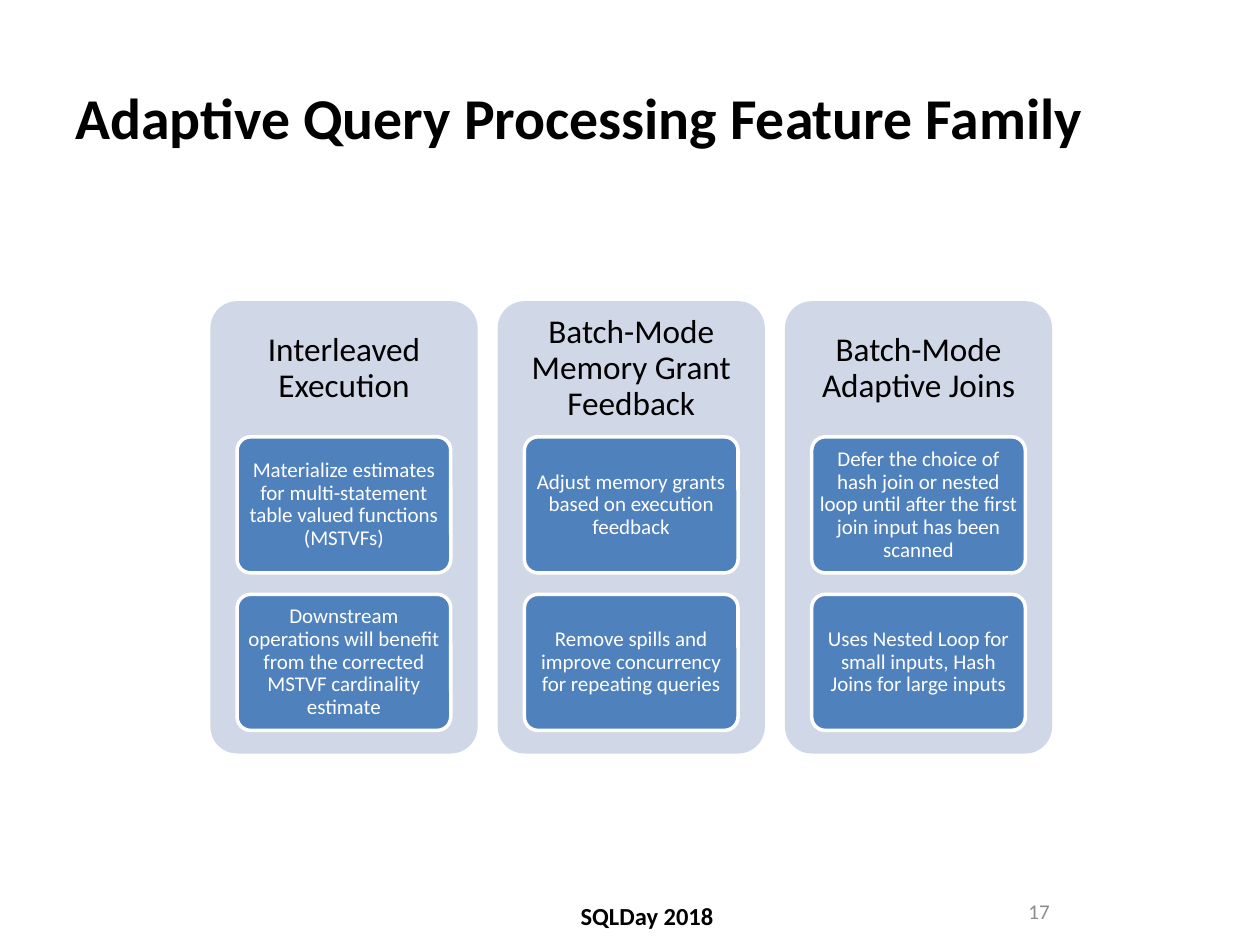
from pptx import Presentation
from pptx import util as u
from pptx.dml.color import RGBColor
from pptx.enum import shapes, text

BLACK = RGBColor(0x00, 0x00, 0x00)
WHITE = RGBColor(0xFF, 0xFF, 0xFF)
GRAY = RGBColor(0x8C, 0x8C, 0x8C)
PALE_BLUE = RGBColor(0xD0, 0xD8, 0xE8)
BLUE = RGBColor(0x4F, 0x81, 0xBD)
FONT = "Calibri"

TITLE = "Adaptive Query Processing Feature Family"
EVENT = "SQLDay 2018"
PAGE_NUMBER = "17"
FEATURES = [
    ("Interleaved Execution", [
        "Materialize estimates for multi-statement table valued functions (MSTVFs)",
        "Downstream operations will benefit from the corrected MSTVF cardinality estimate",
    ]),
    ("Batch-Mode Memory Grant Feedback", [
        "Adjust memory grants based on execution feedback",
        "Remove spills and improve concurrency for repeating queries",
    ]),
    ("Batch-Mode Adaptive Joins", [
        "Defer the choice of hash join or nested loop until after the first join input has been scanned",
        "Uses Nested Loop for small inputs, Hash Joins for large inputs",
    ]),
]

# Grid in inches
GRID_LEFT, GRID_TOP = 1.67, 2.39
PANEL_WIDTH, PANEL_HEIGHT, PANEL_STEP = 2.12, 3.59, 2.28
HEADING_HEIGHT = PANEL_HEIGHT * 0.3
CARD_WIDTH, CARD_HEIGHT, CARD_STEP = PANEL_WIDTH * 0.8, 1.08, 1.25
CARD_INDENT = (PANEL_WIDTH - CARD_WIDTH) / 2


def write(holder, content, size, color=BLACK, bold=False, inset=None,
          align=text.PP_ALIGN.CENTER, line_spacing=1.0):
    frame = holder.text_frame
    frame.word_wrap = True
    frame.auto_size = text.MSO_AUTO_SIZE.NONE
    frame.vertical_anchor = text.MSO_ANCHOR.MIDDLE
    if inset is not None:
        frame.margin_left = frame.margin_right = u.Inches(inset)
        frame.margin_top = frame.margin_bottom = u.Inches(inset)
    paragraph = frame.paragraphs[0]
    paragraph.alignment = align
    paragraph.line_spacing = line_spacing
    run = paragraph.add_run()
    run.text = content
    run.font.name = FONT
    run.font.size = u.Pt(size)
    run.font.bold = bold
    run.font.color.rgb = color


def add_label(slide, box, content, size, **style):
    label = slide.shapes.add_textbox(*map(u.Inches, box))
    write(label, content, size, **style)


def add_panel(slide, box, fill, outline=None):
    panel = slide.shapes.add_shape(
        shapes.MSO_SHAPE.ROUNDED_RECTANGLE, *map(u.Inches, box))
    panel.adjustments[0] = 0.1
    panel.shadow.inherit = False
    panel.fill.solid()
    panel.fill.fore_color.rgb = fill
    if outline is None:
        panel.line.fill.background()
    else:
        panel.line.color.rgb = outline
        panel.line.width = u.Pt(2)
    return panel


def add_feature(slide, left, heading, cards):
    add_panel(slide, (left, GRID_TOP, PANEL_WIDTH, PANEL_HEIGHT), PALE_BLUE)
    add_label(slide, (left, GRID_TOP, PANEL_WIDTH, HEADING_HEIGHT), heading, 19,
              inset=0.08, line_spacing=0.9)
    for row, sentence in enumerate(cards):
        top = GRID_TOP + HEADING_HEIGHT + row * CARD_STEP
        card = add_panel(slide, (left + CARD_INDENT, top, CARD_WIDTH, CARD_HEIGHT),
                         BLUE, outline=WHITE)
        write(card, sentence, 12, color=WHITE, inset=0.03, line_spacing=0.9)


def main():
    deck = Presentation()
    deck.slide_width, deck.slide_height = u.Inches(10), u.Inches(7.5)
    slide = deck.slides.add_slide(deck.slide_layouts.get_by_name("Title Only"))

    title = slide.shapes.title
    title.left, title.top, title.width, title.height = map(u.Inches, (0.5, 0.3, 9, 1.25))
    write(title, TITLE, 33, bold=True, align=text.PP_ALIGN.LEFT)

    for column, (heading, cards) in enumerate(FEATURES):
        add_feature(slide, GRID_LEFT + column * PANEL_STEP, heading, cards)

    add_label(slide, (2.19, 7.06, 5.89, 0.42), EVENT, 14, bold=True)
    add_label(slide, (6.18, 7.03, 2.25, 0.4), PAGE_NUMBER, 12, color=GRAY,
              align=text.PP_ALIGN.RIGHT)
    deck.save("out.pptx")


if __name__ == "__main__":
    main()
